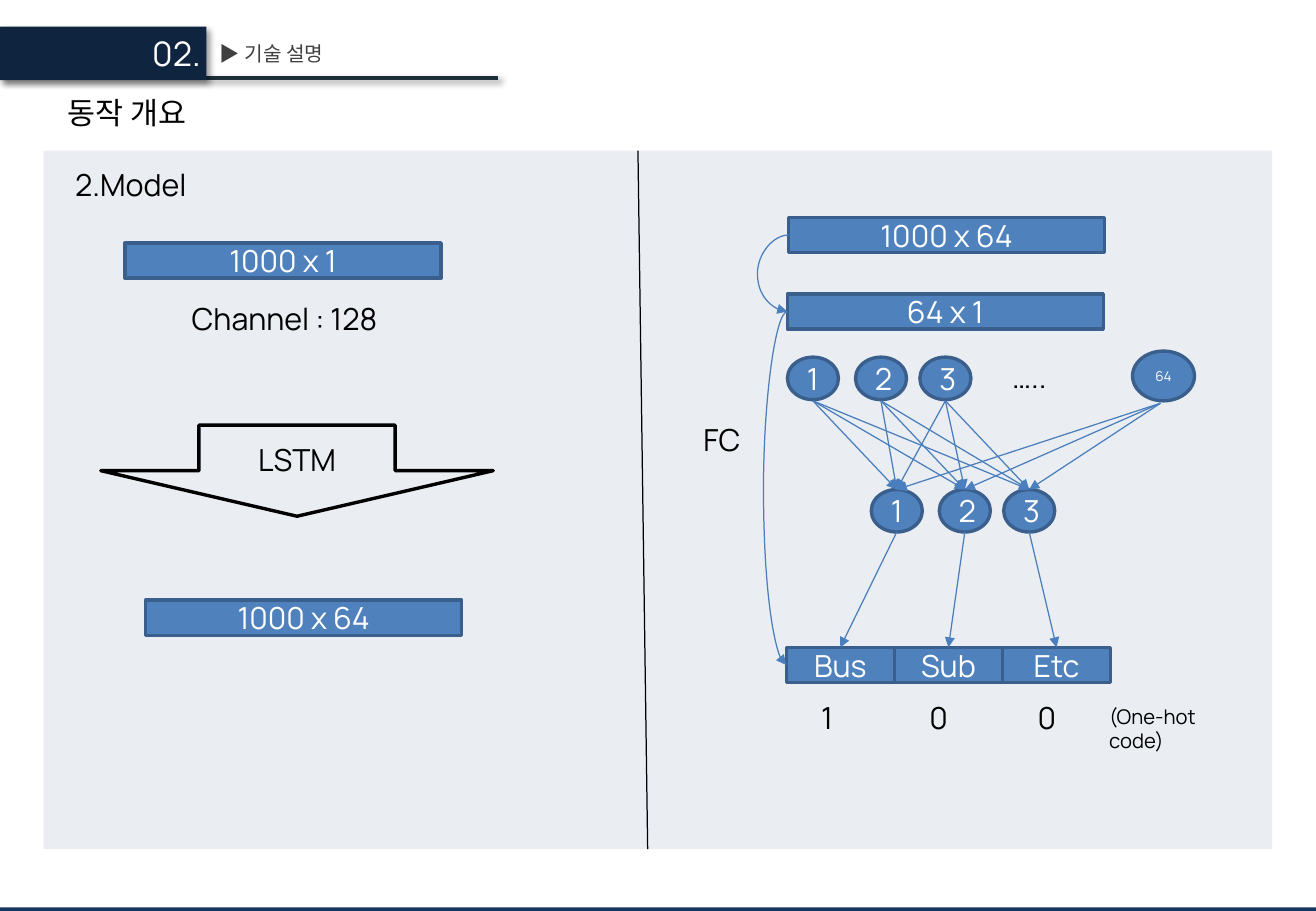
from lxml.etree import SubElement
from pptx import Presentation
from pptx.dml.color import RGBColor
from pptx.enum.shapes import MSO_CONNECTOR, MSO_SHAPE
from pptx.enum.text import MSO_ANCHOR, PP_ALIGN
from pptx.oxml.ns import qn
from pptx.util import Pt

EMU_PER_PX = 9144
FONT = "Manrope"
BLACK = RGBColor(0x00, 0x00, 0x00)
WHITE = RGBColor(0xFF, 0xFF, 0xFF)
GRAY = RGBColor(0x40, 0x40, 0x40)
NAVY = RGBColor(0x0F, 0x24, 0x3E)
RULE = RGBColor(0x1D, 0x2F, 0x39)
FOOTER = RGBColor(0x17, 0x37, 0x5E)
PANEL = RGBColor(0x37, 0x60, 0x92)
BLUE = RGBColor(0x4F, 0x81, 0xBD)
BORDER = RGBColor(0x3A, 0x5F, 0x8C)
ARROW = RGBColor(0x4B, 0x7E, 0xBC)
BLOCK_WIDTH, BLOCK_HEIGHT = 260, 29
NODE_WIDTH, NODE_HEIGHT = 42, 35


def px(length):
    return int(length * EMU_PER_PX)


def write(shape, text, size, color, alignment):
    shape.text_frame.text = text
    paragraph = shape.text_frame.paragraphs[0]
    paragraph.alignment = alignment
    for run in paragraph.runs:
        run.font.name = FONT
        run.font.size = Pt(size)
        run.font.color.rgb = color


def add_label(slide, text, left, top, width, size=18, color=BLACK,
              alignment=PP_ALIGN.LEFT, wrap=True):
    height = 30 if size < 18 else 40
    box = slide.shapes.add_textbox(px(left), px(top), px(width), px(height))
    box.text_frame.word_wrap = wrap
    write(box, text, size, color, alignment)


def add_figure(slide, kind, left, top, width, height, fill=None, border=None):
    shape = slide.shapes.add_shape(kind, px(left), px(top), px(width), px(height))
    shape.shadow.inherit = False
    if fill is None:
        shape.fill.background()
    else:
        shape.fill.solid()
        shape.fill.fore_color.rgb = fill
    if border is None:
        shape.line.fill.background()
    else:
        shape.line.color.rgb = border
        shape.line.width = Pt(2)
    return shape


def add_block(slide, text, left, top, width=BLOCK_WIDTH, height=BLOCK_HEIGHT,
              kind=MSO_SHAPE.RECTANGLE, size=18):
    shape = add_figure(slide, kind, left, top, width, height, BLUE, BORDER)
    shape.text_frame.vertical_anchor = MSO_ANCHOR.MIDDLE
    write(shape, text, size, WHITE, PP_ALIGN.CENTER)
    return shape


def add_line(slide, start, end, color, width=0.75, kind=MSO_CONNECTOR.STRAIGHT):
    line = slide.shapes.add_connector(kind, *map(px, start + end))
    line.line.color.rgb = color
    line.line.width = Pt(width)
    SubElement(line._element.spPr, qn("a:effectLst"))
    return line


def add_arrow(slide, start, end, kind=MSO_CONNECTOR.STRAIGHT):
    arrow = add_line(slide, start, end, ARROW, kind=kind)
    SubElement(arrow.line._get_or_add_ln(), qn("a:tailEnd"), type="triangle")
    return arrow


def add_side_curve(slide, source, target, bulge):
    start = (source.left // EMU_PER_PX, (source.top + source.height / 2) / EMU_PER_PX)
    end = (target.left // EMU_PER_PX, (target.top + target.height / 2) / EMU_PER_PX)
    curve = add_arrow(slide, start, end, MSO_CONNECTOR.CURVE)
    curve.begin_connect(source, 1)
    curve.end_connect(target, 1)
    adjustments = curve._element.spPr.find(qn("a:prstGeom")).get_or_add_avLst()
    ratio = round(px(bulge) / curve.width * 100000)
    SubElement(adjustments, qn("a:gd"), name="adj1", fmla=f"val {ratio}")


def add_shadow(shape):
    properties = shape._element.spPr
    effects = properties.find(qn("a:effectLst"))
    shadow = SubElement(effects, qn("a:outerShdw"), blurRad=str(Pt(4)),
                        dist=str(Pt(3)), dir="2700000", algn="tl", rotWithShape="0")
    color = SubElement(shadow, qn("a:srgbClr"), val=str(BLACK))
    SubElement(color, qn("a:alpha"), val="40000")


def add_header(slide, left, top):
    add_shadow(add_line(slide, (left, top + 42), (left + 410, top + 42), RULE, 2.25))
    add_shadow(add_figure(slide, MSO_SHAPE.RECTANGLE, left, top, 170, 44, NAVY))
    add_label(slide, "02.", left + 115, top, 60, 20, WHITE, PP_ALIGN.RIGHT, False)
    add_label(slide, "▶ 기술 설명", left + 171, top + 7, 121, 12, GRAY, wrap=False)
    add_label(slide, "동작 개요", left + 46, top + 51, 315)


def add_panel(slide, left, top, width, height):
    panel = add_figure(slide, MSO_SHAPE.RECTANGLE, left, top, width, height, PANEL)
    color = panel._element.spPr.find(qn("a:solidFill"))[0]
    SubElement(color, qn("a:alpha"), val="10000")
    add_line(slide, (left + 489, top), (left + 497, top + height), BLACK)


def add_model(slide, left, top):
    add_label(slide, "2.Model", left + 16, top + 8, 227)
    add_block(slide, "1000 x 1", left + 67, top + 76)
    add_label(slide, "Channel : 128", left + 112, top + 118, 186)
    arrow = add_figure(slide, MSO_SHAPE.DOWN_ARROW, left + 47, top + 226, 323, 75,
                       border=BLACK)
    arrow.text_frame.vertical_anchor = MSO_ANCHOR.MIDDLE
    write(arrow, "LSTM", 18, BLACK, PP_ALIGN.CENTER)
    add_block(slide, "1000 x 64", left + 84, top + 370)


def add_layer(slide, left, top):
    for number, offset in enumerate((0, 56, 109), 1):
        add_block(slide, str(number), left + offset, top, NODE_WIDTH, NODE_HEIGHT,
                  MSO_SHAPE.OVAL)
    return [left + offset + NODE_WIDTH // 2 for offset in (0, 56, 109)]


def add_network(slide, left, top):
    source = add_block(slide, "1000 x 64", left + 124, top + 55)
    flat = add_block(slide, "64 x 1", left + 123, top + 118)
    add_side_curve(slide, source, flat, 26)

    input_top, hidden_top, output_top = top + 170, top + 279, top + 409
    input_centers = add_layer(slide, left + 123, input_top)
    hidden_centers = add_layer(slide, left + 192, hidden_top)
    add_label(slide, "…..", left + 298, top + 166, 119)
    add_block(slide, "64", left + 407, top + 165, 51, 41, MSO_SHAPE.OVAL, 8)
    starts = [(center, input_top + NODE_HEIGHT + 1) for center in input_centers]
    starts.append((left + 430, top + 208))
    for start in starts:
        for center in hidden_centers:
            add_arrow(slide, start, (center, hidden_top))

    classes = []
    for index, (name, bit) in enumerate((("Bus", "1"), ("Sub", "0"), ("Etc", "0"))):
        class_left = left + 122 + index * 89
        block = add_block(slide, name, class_left, output_top, 89)
        classes.append(block)
        add_label(slide, bit, class_left + 19, output_top + 38, 51)
        start = (hidden_centers[index], hidden_top + NODE_HEIGHT)
        arrow = add_arrow(slide, start, (class_left + 44, output_top))
        arrow.end_connect(block, 0)
    add_side_curve(slide, flat, classes[0], 20)
    add_label(slide, "FC", left + 44, top + 218, 51)
    add_label(slide, "(One-hot code)", left + 378, top + 451, 128, 12)


def main():
    presentation = Presentation()
    presentation.slide_width = px(1083)
    presentation.slide_height = px(750)
    slide = presentation.slides.add_slide(presentation.slide_layouts[6])
    add_figure(slide, MSO_SHAPE.RECTANGLE, 0, 747, 1083, 3, FOOTER)
    add_panel(slide, 36, 124, 1011, 575)
    add_header(slide, 0, 22)
    add_model(slide, 36, 124)
    add_network(slide, 525, 124)
    presentation.save("out.pptx")


if __name__ == "__main__":
    main()
